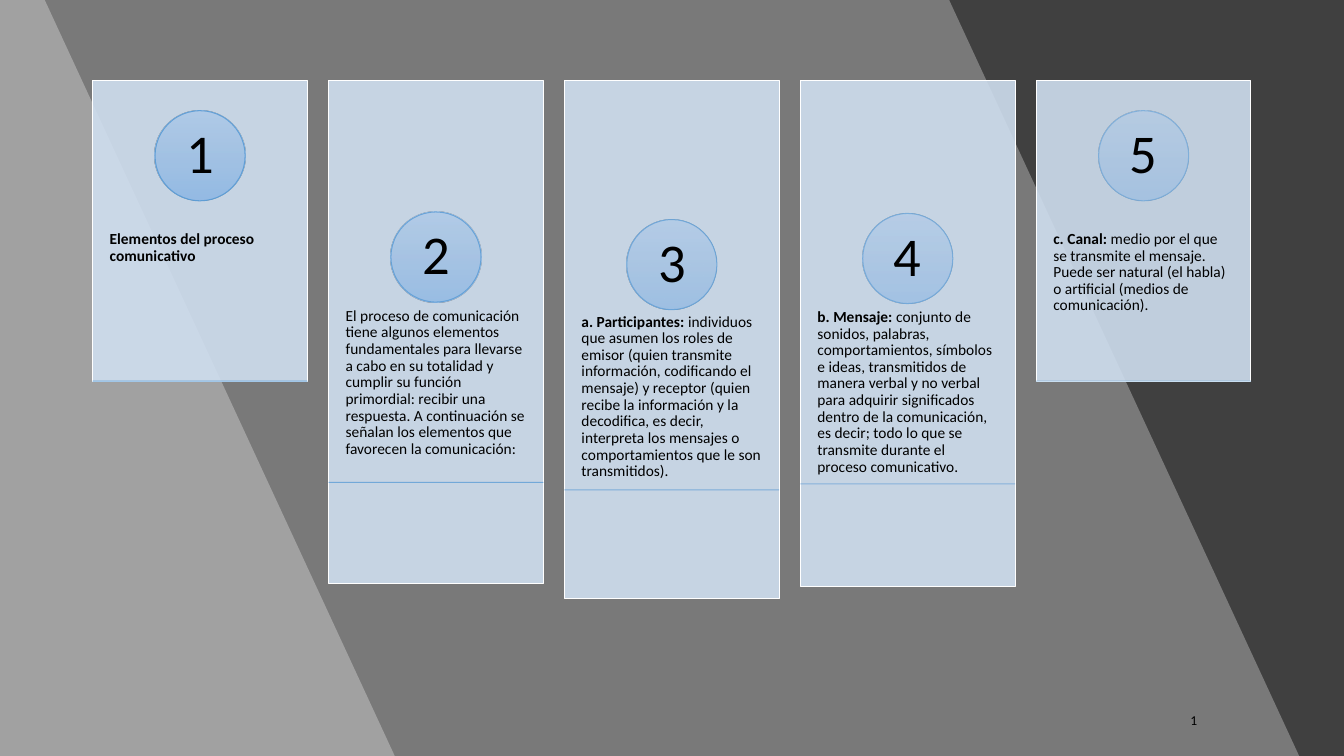
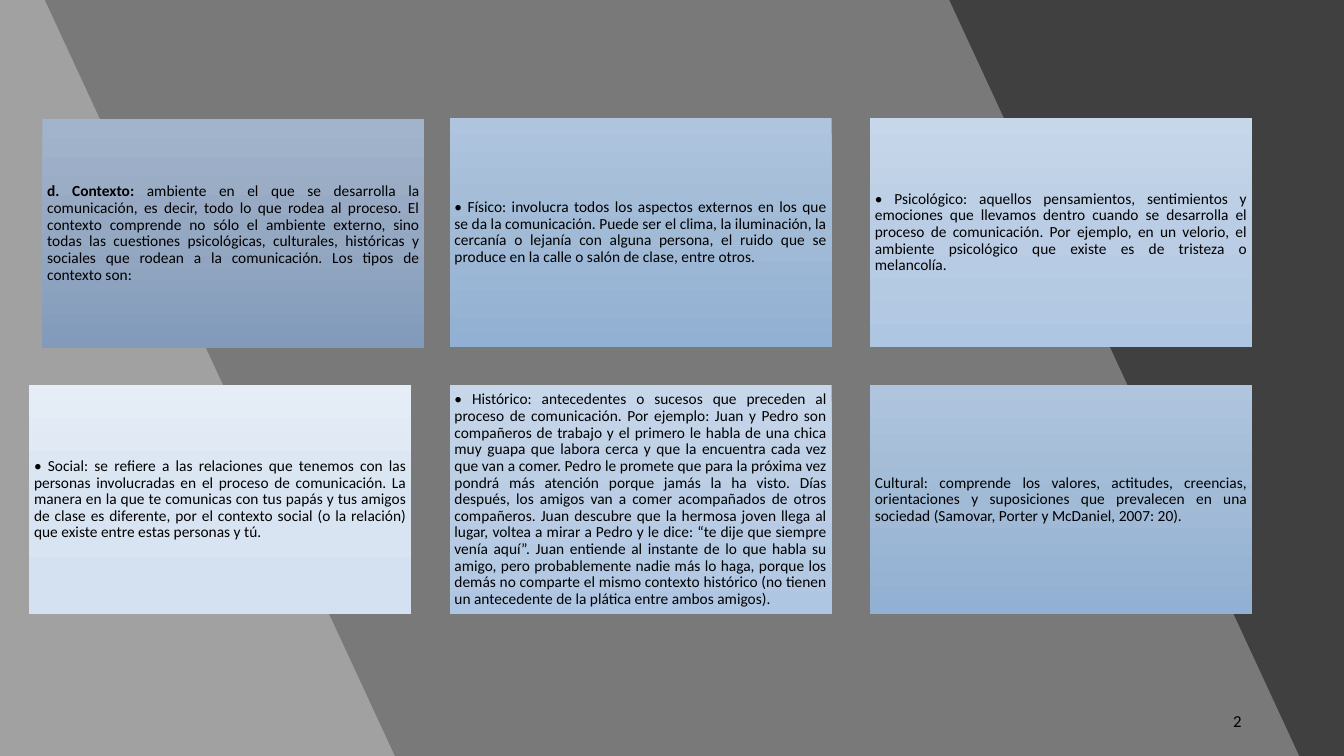
import lxml.etree
import pptx
import pptx.dml.color
import pptx.enum.shapes
import pptx.enum.text
import pptx.oxml.ns
import pptx.util

Pt = pptx.util.Pt
qn = pptx.oxml.ns.qn
SHAPE = pptx.enum.shapes.MSO_SHAPE
ALIGN = pptx.enum.text.PP_ALIGN
ANCHOR = pptx.enum.text.MSO_ANCHOR

FONT = "Calibri"
COLORS = {
    "backdrop": "404040",
    "white": "FFFFFF",
    "ink": "000000",
    "card": "CFDEEF",
    "accent": "599BD5",
}
GRADIENTS = {
    "badge": ("AFCAE9", "A0C1E4", "8FB8E4"),
    "slate": ("A2B4CC", "95A8C1", "829BBB"),
    "blue": ("AFC4DD", "A1BAD6", "91B0D3"),
    "sky": ("C7D7EA", "BACDE4", "AFC6E2"),
    "pale": ("E6EDF6", "D9E4F2", "D4E1F1"),
}

CARD_TOP, CARD_WIDTH, CARD_STEP, CARD_LEFT = 57.6, 153.4, 168.5, 66.2
BLOCK_HEIGHT = 214.6
CARDS = [
    (214.6, "Elementos del proceso comunicativo", ""),
    (359.3, "", "El proceso de comunicación tiene algunos elementos fundamentales para "
     "llevarse a cabo en su totalidad y cumplir su función primordial: recibir una "
     "respuesta. A continuación se señalan los elementos que favorecen la comunicación:"),
    (370.1, "a. Participantes: ", "individuos que asumen los roles de emisor (quien "
     "transmite información, codificando el mensaje) y receptor (quien recibe la "
     "información y la decodifica, es decir, interpreta los mensajes o comportamientos "
     "que le son transmitidos)."),
    (361.4, "b. Mensaje: ", "conjunto de sonidos, palabras, comportamientos, símbolos e "
     "ideas, transmitidos de manera verbal y no verbal para adquirir significados dentro "
     "de la comunicación, es decir; todo lo que se transmite durante el proceso "
     "comunicativo."),
    (214.6, "c. Canal: ", "medio por el que se transmite el mensaje. Puede ser natural "
     "(el habla) o artificial (medios de comunicación)."),
]

TILE_WIDTH, TILE_HEIGHT = 272.9, 163.6
TILE_LEFT, TILE_TOP, TILE_STEP_X, TILE_STEP_Y = 20.9, 84.3, 300.3, 190.8
FIRST_TILE_SHIFT = (9.4, 0.7)
TILES = [
    ("slate", "d. Contexto: ", "ambiente en el que se desarrolla la comunicación, es "
     "decir, todo lo que rodea al proceso. El contexto comprende no sólo el ambiente "
     "externo, sino todas las cuestiones psicológicas, culturales, históricas y sociales "
     "que rodean a la comunicación. Los tipos de contexto son:"),
    ("blue", "", "• Físico: involucra todos los aspectos externos en los que se da la "
     "comunicación. Puede ser el clima, la iluminación, la cercanía o lejanía con alguna "
     "persona, el ruido que se produce en la calle o salón de clase, entre otros."),
    ("sky", "", "• Psicológico: aquellos pensamientos, sentimientos y emociones que "
     "llevamos dentro cuando se desarrolla el proceso de comunicación. Por ejemplo, en un "
     "velorio, el ambiente psicológico que existe es de tristeza o melancolía."),
    ("pale", "", "• Social: se refiere a las relaciones que tenemos con las personas "
     "involucradas en el proceso de comunicación. La manera en la que te comunicas con "
     "tus papás y tus amigos de clase es diferente, por el contexto social (o la "
     "relación) que existe entre estas personas y tú."),
    ("sky", "", "• Histórico: antecedentes o sucesos que preceden al proceso de "
     "comunicación. Por ejemplo: Juan y Pedro son compañeros de trabajo y el primero le "
     "habla de una chica muy guapa que labora cerca y que la encuentra cada vez que van a "
     "comer. Pedro le promete que para la próxima vez pondrá más atención porque jamás la "
     "ha visto. Días después, los amigos van a comer acompañados de otros compañeros. "
     "Juan descubre que la hermosa joven llega al lugar, voltea a mirar a Pedro y le "
     "dice: “te dije que siempre venía aquí”. Juan entiende al instante de lo que habla "
     "su amigo, pero probablemente nadie más lo haga, porque los demás no comparte el "
     "mismo contexto histórico (no tienen un antecedente de la plática entre ambos "
     "amigos)."),
    ("blue", "", "Cultural: comprende los valores, actitudes, creencias, orientaciones y "
     "suposiciones que prevalecen en una sociedad (Samovar, Porter y McDaniel, 2007: "
     "20)."),
]


def color(name):
    """Return the named palette colour."""
    return pptx.dml.color.RGBColor.from_string(COLORS[name])


def fade(properties, percent):
    """Give every colour in the shape properties the same opacity."""
    for tint in properties.iter(qn("a:srgbClr")):
        lxml.etree.SubElement(tint, qn("a:alpha"), val=str(round(percent * 1000)))


def fill_solid(shape, name):
    """Fill a shape with one palette colour."""
    shape.fill.solid()
    shape.fill.fore_color.rgb = color(name)


def fill_gradient(shape, name):
    """Fill a shape from top to bottom with three even stops."""
    shape.fill.gradient()
    shape.fill.gradient_angle = 270
    stops = shape._element.spPr.find(".//" + qn("a:gsLst"))
    for stop in list(stops):
        stops.remove(stop)
    for index, tint in enumerate(GRADIENTS[name]):
        stop = lxml.etree.SubElement(stops, qn("a:gs"), pos=str(index * 50000))
        lxml.etree.SubElement(stop, qn("a:srgbClr"), val=tint)


def add_box(page, kind, left, top, width, height):
    """Add a plain shape without fill, line or shadow."""
    box = page.shapes.add_shape(kind, Pt(left), Pt(top), Pt(width), Pt(height))
    box.shadow.inherit = False
    box.fill.background()
    box.line.fill.background()
    return box


def outline(line, name):
    """Draw a thin line in a palette colour."""
    line.color.rgb = color(name)
    line.width = Pt(0.75)


def write(box, parts, size, align, anchor, insets, spacing=0.9):
    """Write (text, bold) parts as one paragraph and return it."""
    frame = box.text_frame
    frame.word_wrap = True
    frame.vertical_anchor = anchor
    frame.margin_left, frame.margin_top, frame.margin_right, frame.margin_bottom = map(Pt, insets)
    para = frame.paragraphs[0]
    para.alignment = align
    para.line_spacing = spacing
    for text, bold in parts:
        if text:
            span = para.add_run()
            span.text = text
            span.font.name = FONT
            span.font.size = Pt(size)
            span.font.bold = bold
            span.font.color.rgb = color("ink")
    return para


def dress_layout(deck, layout, page):
    """Put the dark backdrop and two slanted bands behind every slide."""
    backdrop = deck.slide_master.background.fill
    backdrop.solid()
    backdrop.fore_color.rgb = color("backdrop")
    for holder in list(layout.placeholders):
        holder._element.getparent().remove(holder._element)
    bands = []
    for top_edge in (678, 32):
        builder = page.shapes.build_freeform(0, 0, scale=Pt(1))
        builder.add_line_segments([(top_edge, 0), (top_edge + 250, 540), (0, 540)], close=True)
        band = builder.convert_to_shape()
        band.shadow.inherit = False
        fill_solid(band, "white")
        fade(band._element.spPr, 30)
        band.line.fill.background()
        bands.append(band)
    for band in bands:
        layout.shapes._spTree.append(band._element)


def add_page_number(page, kind, number, size, spacing):
    """Place a right-aligned slide number field in the lower corner."""
    box = add_box(page, kind, 678, 500.5, 216, 28.8)
    para = write(box, [(str(number), False)], size, ALIGN.RIGHT, ANCHOR.MIDDLE,
                 (7.2, 3.6, 7.2, 3.6), spacing)
    span = para.runs[0]._r
    field = lxml.etree.Element(qn("a:fld"), type="slidenum",
                               id="{B6F15528-21DE-4FAA-801E-634DDDAF4B2B}")
    span.addprevious(field)
    field.extend(list(span))
    span.getparent().remove(span)


def add_card(page, left, top, index, height, lead, body):
    """Draw a numbered card whose badge and rule frame its middle block."""
    card = add_box(page, SHAPE.RECTANGLE, left, top, CARD_WIDTH, height)
    fill_solid(card, "card")
    fade(card._element.spPr, 90)
    outline(card.line, "white")
    write(card, [(lead, True), (body, False)], 11, ALIGN.LEFT, ANCHOR.TOP,
          (12.2, 0.38 * height + 25.9, 12.2, 0))

    block_top = top + (height - BLOCK_HEIGHT) / 2
    size = 0.3 * BLOCK_HEIGHT
    opacity = 90 - 40 / 9 * index * 2
    badge = add_box(page, SHAPE.OVAL, left + (CARD_WIDTH - size) / 2,
                    block_top + 0.1 * BLOCK_HEIGHT, size, size)
    fill_gradient(badge, "badge")
    outline(badge.line, "accent")
    fade(badge._element.spPr, opacity)
    write(badge, [(str(index + 1), False)], 39, ALIGN.CENTER, ANCHOR.MIDDLE, (5, 0.7, 5, 0.7))

    bottom = Pt(block_top + BLOCK_HEIGHT)
    rule = page.shapes.add_connector(pptx.enum.shapes.MSO_CONNECTOR.STRAIGHT,
                                     Pt(left), bottom, Pt(left + CARD_WIDTH), bottom)
    outline(rule.line, "accent")
    fade(rule._element.spPr, opacity - 40 / 9)
    lxml.etree.SubElement(rule._element.spPr, qn("a:effectLst"))


def add_tile(page, left, top, gradient, lead, body):
    """Draw a gradient tile with justified text."""
    tile = add_box(page, SHAPE.RECTANGLE, left, top, TILE_WIDTH, TILE_HEIGHT)
    fill_gradient(tile, gradient)
    write(tile, [(lead, True), (body, False)], 11, ALIGN.JUSTIFY, ANCHOR.MIDDLE, (3.4,) * 4)


def build_elements(page):
    """Fill the slide with the row of numbered cards."""
    for index, (height, lead, body) in enumerate(CARDS):
        add_card(page, CARD_LEFT + index * CARD_STEP, CARD_TOP, index, height, lead, body)
    add_page_number(page, SHAPE.OVAL, 1, 9.7, 0.9)


def build_contexts(page):
    """Fill the slide with the grid of context tiles."""
    for index, (gradient, lead, body) in enumerate(TILES):
        row, column = divmod(index, 3)
        shift_x, shift_y = FIRST_TILE_SHIFT if index == 0 else (0, 0)
        add_tile(page, TILE_LEFT + column * TILE_STEP_X + shift_x,
                 TILE_TOP + row * TILE_STEP_Y + shift_y, gradient, lead, body)
    add_page_number(page, SHAPE.RECTANGLE, 2, 12, 1.0)


def main():
    """Build and save the deck."""
    deck = pptx.Presentation()
    deck.slide_width, deck.slide_height = Pt(960), Pt(540)
    layout = deck.slide_layouts[6]
    pages = [deck.slides.add_slide(layout) for _ in range(2)]
    dress_layout(deck, layout, pages[0])
    build_elements(pages[0])
    build_contexts(pages[1])
    deck.save("out.pptx")


if __name__ == "__main__":
    main()
